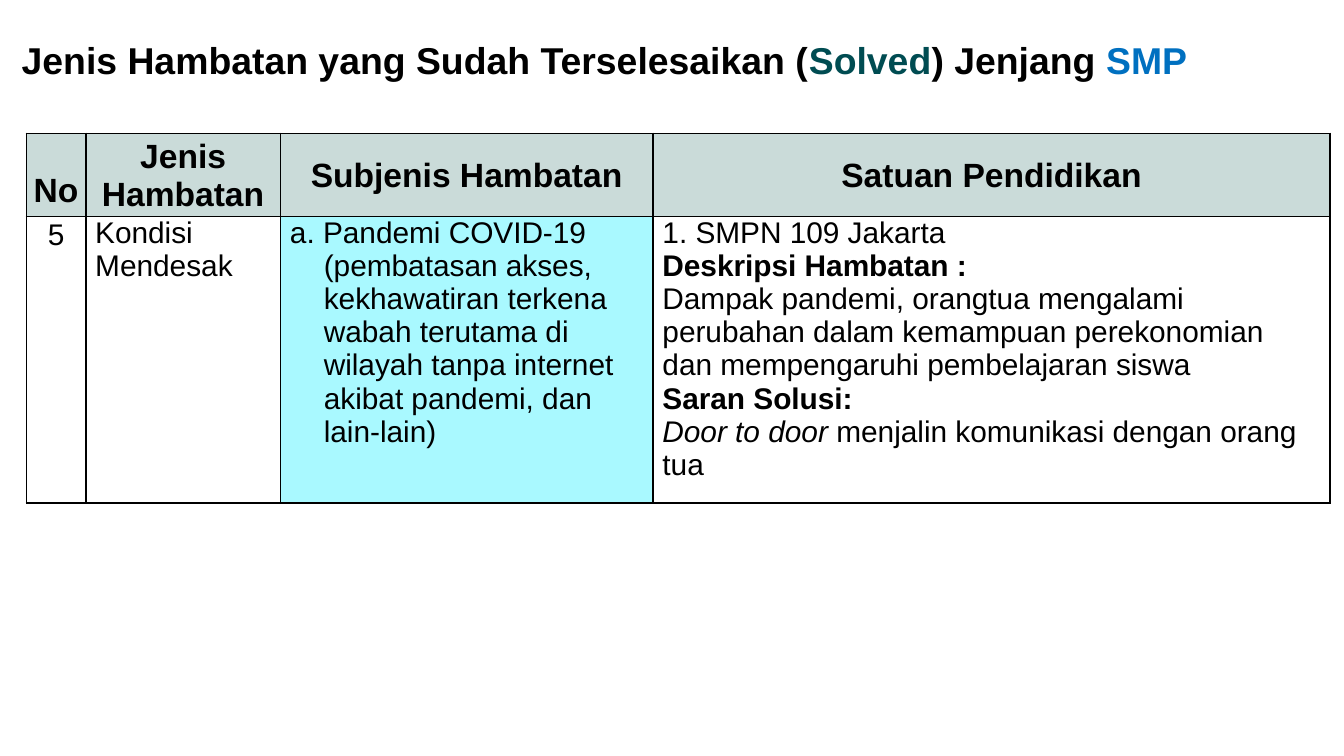
from lxml import etree
from pptx import Presentation
from pptx.dml.color import RGBColor
from pptx.enum.text import MSO_ANCHOR, PP_ALIGN
from pptx.oxml.ns import qn
from pptx.util import Cm, Pt

TOP, MIDDLE, BOTTOM = MSO_ANCHOR.TOP, MSO_ANCHOR.MIDDLE, MSO_ANCHOR.BOTTOM
LEFT, CENTER = PP_ALIGN.LEFT, PP_ALIGN.CENTER

FONT = "Arial"
BLACK, TEAL, BLUE = "000000", "004C52", "0070C0"
HEADER_FILL, SUBTYPE_FILL = "CADBD9", "A9F9FF"

COLUMN_WIDTHS = (1.12, 3.68, 7.04, 12.8)
ROW_HEIGHTS = (1.57, 5.03)
HEADERS = ("No", "Jenis Hambatan", "Subjenis Hambatan", "Satuan Pendidikan")

SUBTYPE = ("a. Pandemi COVID-19 (pembatasan akses, kekhawatiran terkena wabah "
           "terutama di wilayah tanpa internet akibat pandemi, dan lain-lain)")
IMPACT = ("Dampak pandemi, orangtua mengalami perubahan dalam kemampuan "
          "perekonomian dan mempengaruhi pembelajaran siswa")


def color(hex_value):
    return RGBColor.from_string(hex_value)


def add_span(para, text, size, bold=False, italic=False, ink=BLACK):
    span = para.add_run()
    span.text = text
    font = span.font
    font.name, font.size = FONT, Pt(size)
    font.bold, font.italic = bold, italic
    font.color.rgb = color(ink)


def set_margins(holder, left, top, right, bottom):
    holder.margin_left, holder.margin_right = Cm(left), Cm(right)
    holder.margin_top, holder.margin_bottom = Cm(top), Cm(bottom)


def set_borders(cell, width=1):
    """Draw a solid black line on all four sides of a cell."""
    properties = cell._tc.get_or_add_tcPr()
    for position, side in enumerate(("a:lnL", "a:lnR", "a:lnT", "a:lnB")):
        line = etree.Element(qn(side), w=str(Pt(width)))
        fill = etree.SubElement(line, qn("a:solidFill"))
        etree.SubElement(fill, qn("a:srgbClr"), val=BLACK)
        properties.insert(position, line)


def fill_cell(cell, paragraphs, size, align=LEFT, anchor=TOP,
              margins=(0.18, 0, 0.18, 0), fill=None):
    """Each paragraph is a list of (text, formatting) spans."""
    set_margins(cell, *margins)
    cell.vertical_anchor = anchor
    if fill:
        cell.fill.solid()
        cell.fill.fore_color.rgb = color(fill)
    else:
        cell.fill.background()
    set_borders(cell)
    frame = cell.text_frame
    for index, spans in enumerate(paragraphs):
        para = frame.add_paragraph() if index else frame.paragraphs[0]
        para.alignment = align
        for text, formatting in spans:
            add_span(para, text, size, **formatting)


def add_title(page):
    box = page.shapes.add_textbox(Cm(0.23), Cm(0.03), Cm(23.5), Cm(2.31))
    frame = box.text_frame
    frame.word_wrap = True
    frame.vertical_anchor = MIDDLE
    set_margins(frame, 0.18, 0.1, 0.18, 0.1)
    para = frame.paragraphs[0]
    para.line_spacing = 0.9
    for text, ink in (("Jenis Hambatan yang Sudah Terselesaikan (", BLACK),
                      ("Solved", TEAL), (") Jenjang ", BLACK), ("SMP", BLUE)):
        add_span(para, text, 20, bold=True, ink=ink)


def add_obstacle_table(page):
    frame = page.shapes.add_table(
        len(ROW_HEIGHTS), len(COLUMN_WIDTHS), Cm(0.5), Cm(2.52),
        Cm(sum(COLUMN_WIDTHS)), Cm(sum(ROW_HEIGHTS)))
    table = frame.table
    table.first_row = table.horz_banding = False
    for column, width in zip(table.columns, COLUMN_WIDTHS):
        column.width = Cm(width)
    for row, height in zip(table.rows, ROW_HEIGHTS):
        row.height = Cm(height)

    # Header row: the number heading sits low, the others are centred
    for index, heading in enumerate(HEADERS):
        fill_cell(table.cell(0, index), [[(heading, {"bold": True})]], 18, CENTER,
                  MIDDLE if index else BOTTOM,
                  (0.03, 0.03, 0.03, 0) if index else (0, 0, 0, 0.12), HEADER_FILL)

    # Body row
    number, kind, subtype, school = table.rows[1].cells
    fill_cell(number, [[("5", {})]], 16, CENTER, margins=(0, 0, 0, 0))
    number.text_frame.paragraphs[0].line_spacing = 1.07
    fill_cell(kind, [[("Kondisi Mendesak", {})]], 16)
    fill_cell(subtype, [[(SUBTYPE, {})]], 16, fill=SUBTYPE_FILL)
    hanging = subtype.text_frame.paragraphs[0]._p.get_or_add_pPr()
    hanging.set("marL", str(Cm(0.64)))
    hanging.set("indent", str(-Cm(0.64)))
    fill_cell(school, [
        [("1. SMPN 109 Jakarta", {})],
        [("Deskripsi Hambatan :", {"bold": True})],
        [(IMPACT, {})],
        [("Saran Solusi:", {"bold": True})],
        [("Door to door ", {"italic": True}),
         ("menjalin komunikasi dengan orang tua", {})],
    ], 16)


def main():
    deck = Presentation()
    deck.slide_width, deck.slide_height = Cm(25.4), Cm(14.29)
    page = deck.slides.add_slide(deck.slide_layouts[6])
    add_title(page)
    add_obstacle_table(page)
    deck.save("out.pptx")


if __name__ == "__main__":
    main()
